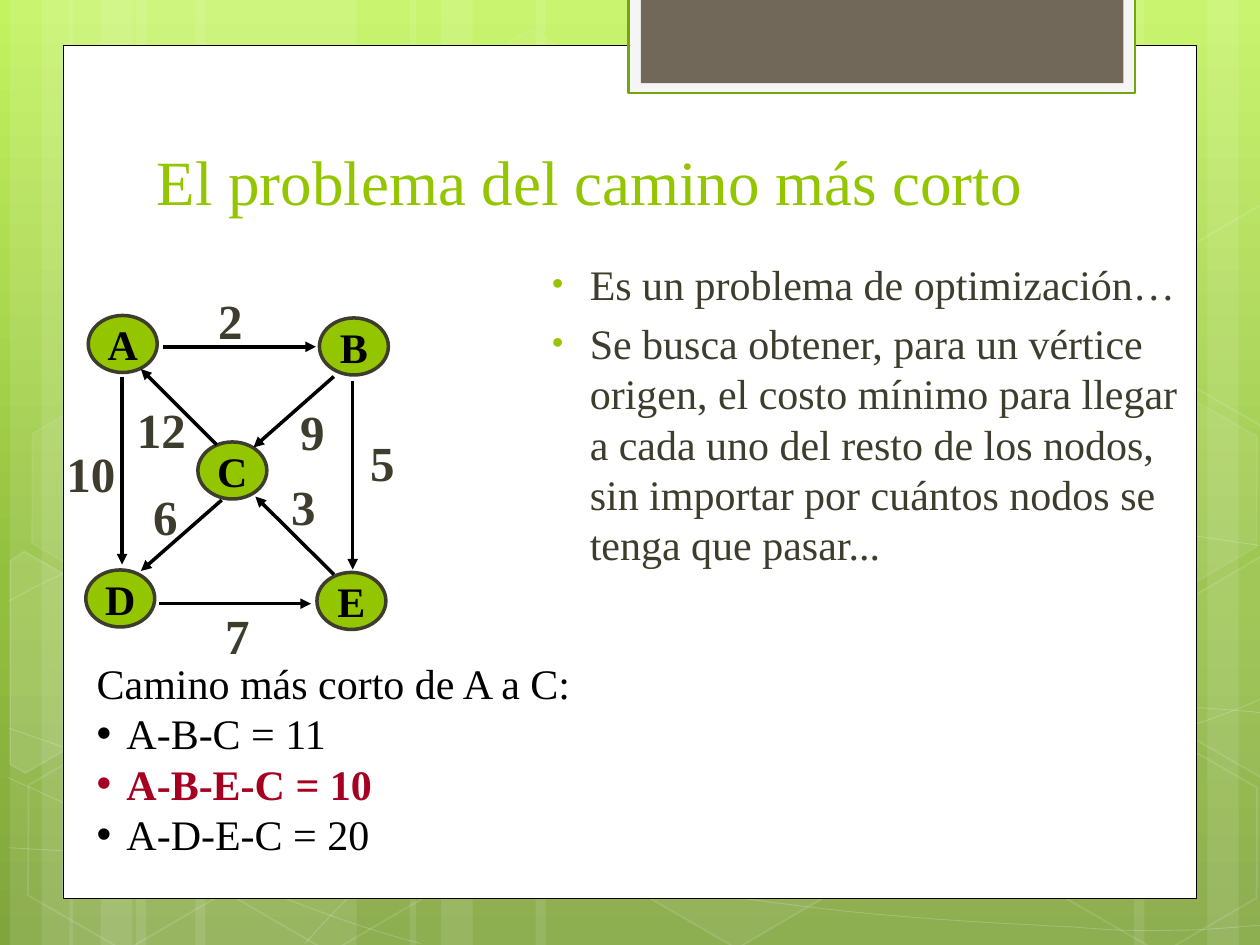
import copy

import lxml.etree
import pptx
import pptx.dml.color
import pptx.enum.shapes
import pptx.enum.text
import pptx.oxml.ns
import pptx.util

Cm = pptx.util.Cm
Pt = pptx.util.Pt
KIND = pptx.enum.shapes.MSO_SHAPE
ALIGN = pptx.enum.text.PP_ALIGN
ANCHOR = pptx.enum.text.MSO_ANCHOR
FONT = "Times New Roman"
LIME, DARK, BLACK, WHITE, RED = "94C600", "3E3D2D", "000000", "FFFFFF", "A50021"


def tint(hue):
    return pptx.dml.color.RGBColor.from_string(hue)


def add_tag(node, tag, **attrs):
    return lxml.etree.SubElement(node, pptx.oxml.ns.qn(tag), **attrs)


def paint(shape, fill=None, line=None, width=1, fill_pct=100, line_pct=100):
    """Set fill and line; the percentages are opacities."""
    shape.shadow.inherit = False
    if fill:
        shape.fill.solid()
        shape.fill.fore_color.rgb = tint(fill)
    else:
        shape.fill.background()
    if line:
        shape.line.color.rgb = tint(line)
        shape.line.width = Pt(width)
    else:
        shape.line.fill.background()
    for route, pct in (("a:solidFill", fill_pct), ("a:ln/a:solidFill", line_pct)):
        if pct < 100:
            for node in shape.element.spPr.xpath(route + "/a:srgbClr"):
                add_tag(node, "a:alpha", val=str(pct * 1000))
    return shape


def draw(slide, kind, x, y, w, h, **look):
    shape = slide.shapes.add_shape(kind, Cm(x), Cm(y), Cm(w), Cm(h))
    return paint(shape, **look)


def trace(slide, points, close, **look):
    spots = [(Cm(x), Cm(y)) for x, y in points]
    pen = slide.shapes.build_freeform(*spots[0])
    pen.add_line_segments(spots[1:], close=close)
    return paint(pen.convert_to_shape(), **look)


def bend(shape):
    """Turn each three line segments of an open outline into one cubic curve."""
    legs = shape.element.xpath(".//a:lnTo")
    for i in range(0, len(legs), 3):
        curve = lxml.etree.Element(pptx.oxml.ns.qn("a:cubicBezTo"))
        legs[i].addprevious(curve)
        for leg in legs[i:i + 3]:
            curve.append(leg[0])
            leg.getparent().remove(leg)


def write(frame, text, first=False, size=24, hue=BLACK, bold=False, align=ALIGN.LEFT,
          space=0, bullet=None, indent=0.6, hang=0.6):
    """Add one paragraph; bullet is a (colour, percent) pair."""
    para = frame.paragraphs[0] if first else frame.add_paragraph()
    para.alignment = align
    para.space_before = Pt(space)
    run = para.add_run()
    run.text = text
    font = run.font
    font.name, font.size, font.bold = FONT, Pt(size), bold
    font.color.rgb = tint(hue)
    if bullet:
        props = para._p.get_or_add_pPr()
        props.set("marL", str(Cm(indent)))
        props.set("indent", str(-Cm(hang)))
        add_tag(add_tag(props, "a:buClr"), "a:srgbClr", val=bullet[0])
        add_tag(props, "a:buSzPct", val=str(bullet[1] * 1000))
        add_tag(props, "a:buFont", typeface="Arial")
        add_tag(props, "a:buChar", char="•")


def add_box(slide, x, y, w, h, wrap=True, anchor=ANCHOR.TOP):
    frame = slide.shapes.add_textbox(Cm(x), Cm(y), Cm(w), Cm(h)).text_frame
    frame.word_wrap = wrap
    frame.vertical_anchor = anchor
    return frame


def add_back(slide, w, h):
    fill = slide.background.fill
    fill.gradient()
    fill.gradient_angle = 270
    stop = slide.element.xpath(".//a:gsLst/a:gs")[0]
    stop.addnext(copy.deepcopy(stop))
    hues = ((0, "C3F35F"), (0.62, "93BF3F"), (1, "81A53E"))
    for stop, (place, hue) in zip(fill.gradient_stops, hues):
        stop.position = place
        stop.color.rgb = tint(hue)

    for x, wide in ((2.74, 4.45), (0.2, 1.27), (0.84, 2.11), (3.94, 4.45), (1.4, 1.27),
                    (2.03, 2.11), (18.62, 4.45), (24.34, 1.27), (22.86, 2.11),
                    (10.8, 7.82), (8.26, 1.27), (8.89, 2.11)):
        draw(slide, KIND.RECTANGLE, x, 0, wide, h, fill=WHITE, fill_pct=10)

    # Each curve is a start, then two handles and an end per bend
    curves = (
        [(0.18, 17.09), (1.55, 17.17), (2.92, 17.25), (4.83, 17.22), (6.73, 17.2),
         (9.09, 17.15), (11.63, 16.89), (14.17, 16.64), (17.78, 16.15), (20.12, 15.67),
         (22.43, 15.19), (24.82, 14.43), (25.58, 14)],
        [(0.18, 12.12), (0.91, 11.71), (1.65, 11.33), (3.07, 10.95), (4.52, 10.57),
         (6.58, 10.01), (8.81, 9.83), (11.07, 9.65), (13.82, 9.63), (16.61, 9.83),
         (19.41, 10.03), (24.05, 10.82), (25.58, 11.02)],
        [(0.15, 15.67), (3.23, 17.07), (6.27, 18.47), (8.48, 19.02)],
        [(0.18, 14.68), (0.97, 14.96), (1.78, 15.24), (3.25, 15.65), (4.72, 16.03),
         (6.93, 16.66), (9.07, 17.09), (11.18, 17.53), (13.84, 17.98), (15.95, 18.24),
         (18.06, 18.52), (20.32, 18.62), (21.67, 18.69), (22.99, 18.8), (23.34, 18.75),
         (24, 18.75), (24.66, 18.72), (25.12, 18.67), (25.58, 18.64)],
        [(6.15, 19.02), (6.6, 18.52), (7.06, 18.01), (7.67, 17.55), (8.28, 17.09),
         (9.14, 16.59), (9.86, 16.23), (10.57, 15.88), (11, 15.72), (11.94, 15.47),
         (12.85, 15.21), (14.55, 14.86), (15.44, 14.68), (16.36, 14.5), (16.48, 14.5),
         (17.27, 14.45), (18.06, 14.38), (19.3, 14.3), (20.17, 14.27), (21.06, 14.25),
         (22.5, 14.27), (22.5, 14.27), (23.07, 14.27), (23.64, 14.27), (24.21, 14.27),
         (24.66, 14.3), (25.1, 14.33), (25.55, 14.38)])
    for curve in curves:
        bend(trace(slide, curve, False, line=WHITE, width=0.5, line_pct=20))

    for x, y, inner, edge in ((8.48, 0.91, 4, 8), (12.62, 14.96, 6, 12), (0.28, 15.01, 0, 12),
                              (0.36, 7.92, 7, 8), (4.42, 15.04, 0, 12), (19.13, 11.51, 10, 12),
                              (21.18, 15.06, 0, 12), (21.18, 7.98, 7, 8)):
        cell = draw(slide, KIND.HEXAGON, x, y, 4.45, 3.86, fill=WHITE if inner else None,
                    line=WHITE, fill_pct=inner, line_pct=edge)
        cell.rotation = 30
        cell.adjustments[0] = 0.285

    left = [(0, 0.31), (0.15, 0), (2.4, 0), (3.51, 1.95), (2.4, 3.86), (2.05, 3.86)]
    right = [(0, 1.91), (1.08, 0), (1.32, 0), (3.45, 3.68), (3.33, 3.86), (1.1, 3.86)]
    for points, x, y, inner in ((left, -0.84, 11.66, 10), (right, 23.29, 11.28, 4),
                                (right, 23.29, 4.19, 0)):
        part = trace(slide, [(x + dx, y + dy) for dx, dy in points], True,
                     fill=WHITE if inner else None, line=WHITE, fill_pct=inner, line_pct=12)
        part.rotation = 30


def add_panel(slide, x, y, w, h):
    draw(slide, KIND.RECTANGLE, x, y, w, h, fill=WHITE, line=BLACK, width=0.5)
    draw(slide, KIND.RECTANGLE, x + 11.4, -0.05, 10.21, 1.93,
         fill="F5F5F5", line="74A510", width=1.25)
    draw(slide, KIND.RECTANGLE, x + 11.65, -0.05, 9.73, 1.73, fill="71685A")


def add_title(slide, x, y, w, h):
    frame = add_box(slide, x, y, w, h, anchor=ANCHOR.BOTTOM)
    write(frame, "El problema del camino más corto", first=True, size=36, hue=LIME)


def add_points(slide, x, y, w, h):
    frame = add_box(slide, x, y, w, h)
    lines = ("Es un problema de optimización…",
             "Se busca obtener, para un vértice origen, el costo mínimo para llegar a cada uno "
             "del resto de los nodos, sin importar por cuántos nodos se tenga que pasar...")
    for i, line in enumerate(lines):
        write(frame, line, first=i == 0, hue=DARK, space=5, bullet=(LIME, 76),
              indent=0.95, hang=0.76)


def add_routes(slide, x, y, w, h):
    frame = add_box(slide, x, y, w, h)
    write(frame, "Camino más corto de A a C:", first=True)
    for line, best in (("A-B-C = 11", False), ("A-B-E-C = 10", True), ("A-D-E-C = 20", False)):
        hue = RED if best else BLACK
        write(frame, line, hue=hue, bold=best, bullet=(hue, 100))


def add_arrow(slide, x1, y1, x2, y2):
    arrow = slide.shapes.add_connector(pptx.enum.shapes.MSO_CONNECTOR.STRAIGHT,
                                       Cm(x1), Cm(y1), Cm(x2), Cm(y2))
    arrow.line.color.rgb = tint(BLACK)
    arrow.line.width = Pt(2)
    add_tag(arrow.line._get_or_add_ln(), "a:tailEnd", type="triangle")
    add_tag(arrow.element.spPr, "a:effectLst")


def add_graph(slide, x, y):
    for name, dx, dy in (("A", 0.69, 0.65), ("B", 5.35, 0.7), ("C", 2.9, 3.2),
                         ("D", 0.64, 5.78), ("E", 5.3, 5.83)):
        node = draw(slide, KIND.OVAL, x + dx, y + dy, 1.39, 1.15, fill=LIME, line=DARK, width=2)
        frame = node.text_frame
        frame.word_wrap = False
        frame.vertical_anchor = ANCHOR.MIDDLE
        write(frame, name, first=True, bold=True, align=ALIGN.CENTER)

    # Cost, arrow start, arrow end, label corner
    for cost, tail, head, spot in (
            (2, (2.2, 1.28), (5.28, 1.28), (3.06, 0.02)),
            (7, (2.11, 6.46), (5.18, 6.46), (3.2, 6.38)),
            (5, (6.02, 1.98), (6.02, 5.77), (6.12, 2.88)),
            (10, (1.37, 1.88), (1.37, 5.67), (0, 3.11)),
            (6, (3.38, 4.37), (1.75, 5.8), (1.75, 3.97)),
            (9, (5.64, 1.88), (4.02, 3.31), (4.71, 2.25)),
            (12, (3.28, 3.26), (1.75, 1.73), (1.42, 2.22)),
            (3, (5.64, 5.87), (4.06, 4.3), (4.53, 3.78))):
        add_arrow(slide, x + tail[0], y + tail[1], x + head[0], y + head[1])
        wide = 0.99 if cost < 10 else 1.5
        frame = add_box(slide, x + spot[0], y + spot[1], wide, 1.42, wrap=False)
        write(frame, str(cost), first=True, size=28, hue=DARK, bold=True)


def main():
    deck = pptx.Presentation()
    deck.slide_width, deck.slide_height = Cm(25.4), Cm(19.05)
    slide = deck.slides.add_slide(deck.slide_layouts[6])
    add_back(slide, 25.4, 19.05)
    add_panel(slide, 1.27, 0.91, 22.86, 17.21)
    add_title(slide, 2.91, 2.84, 19.5, 1.68)
    add_points(slide, 10.69, 5.08, 13.44, 11.94)
    add_routes(slide, 1.7, 13.13, 10.13, 4.32)
    add_graph(slide, 1.09, 5.71)
    deck.save("out.pptx")


if __name__ == "__main__":
    main()
